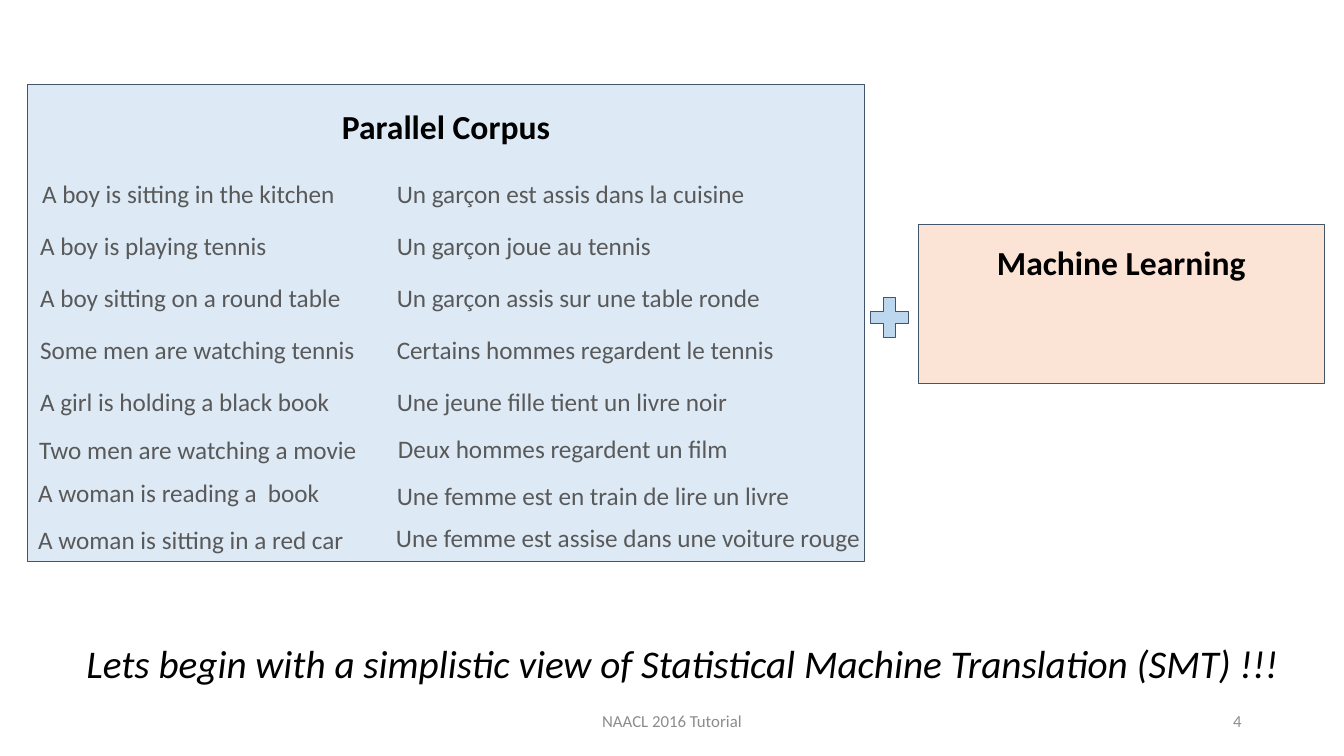
from lxml import etree
from pptx import Presentation
from pptx import util as u
from pptx.dml.color import RGBColor
from pptx.enum import shapes, text
from pptx.oxml import ns

SENTENCES = [
    ("A boy is sitting in the kitchen", "Un garçon est assis dans la cuisine"),
    ("A boy is playing tennis", "Un garçon joue au tennis"),
    ("A boy sitting on a round table", "Un garçon assis sur une table ronde"),
    ("Some men are watching tennis", "Certains hommes regardent le tennis"),
    ("A girl is holding a black book", "Une jeune fille tient un livre noir"),
    ("Two men are watching a movie", "Deux hommes regardent un film"),
    ("A woman is reading a  book", "Une femme est en train de lire un livre"),
    ("A woman is sitting in a red car",
     "Une femme est assise dans une voiture rouge"),
]
ROW_TOP, ROW_STEP = 4.37, 1.31
EVEN_TOPS = [ROW_TOP + ROW_STEP * row for row in range(5)]
ENGLISH_TOPS = EVEN_TOPS + [10.82, 11.91, 13.08]
FRENCH_TOPS = EVEN_TOPS + [10.8, 11.99, 13.03]
ENGLISH_LEFTS = [0.81] + [0.76] * 4 + [0.74, 0.71, 0.71]
FRENCH_LEFTS = [9.75] * 5 + [9.78, 9.75, 9.73]


def color(code):
    return RGBColor.from_string(code)


class CorpusSlide:
    """Slide page with the shared style and a method per kind of element."""

    font = "Calibri"
    ink, sentence_ink, footer_ink = "000000", "595959", "8C8C8C"
    outline = "44546A"

    def __init__(self, page):
        self.page = page

    def set_text(self, shape, words, size, ink, align=text.PP_ALIGN.LEFT,
                 anchor=text.MSO_ANCHOR.TOP, bold=False, italic=False):
        frame = shape.text_frame
        frame.word_wrap = True
        frame.vertical_anchor = anchor
        para = frame.paragraphs[0]
        para.text = words
        para.alignment = align
        font = para.font
        font.name, font.size = self.font, u.Pt(size)
        font.bold, font.italic = bold, italic
        font.color.rgb = color(ink)
        return frame

    def shape(self, kind, left, top, width, height, fill):
        shape = self.page.shapes.add_shape(
            kind, u.Cm(left), u.Cm(top), u.Cm(width), u.Cm(height))
        shape.shadow.inherit = False
        shape.fill.solid()
        shape.fill.fore_color.rgb = color(fill)
        shape.line.color.rgb = color(self.outline)
        shape.line.width = u.Pt(0.75)
        return shape

    def panel(self, title, left, top, width, height, fill, title_gap):
        panel = self.shape(shapes.MSO_SHAPE.RECTANGLE,
                           left, top, width, height, fill)
        properties = panel.element.spPr
        fill_color = properties.find(ns.qn("a:solidFill"))[0]
        etree.SubElement(fill_color, ns.qn("a:alpha"), val="50000")
        frame = self.set_text(panel, title, 24, self.ink,
                              text.PP_ALIGN.CENTER, bold=True)
        frame.margin_top = u.Cm(title_gap)

    def plus(self, left, top, width, height, fill):
        plus = self.shape(shapes.MSO_SHAPE.MATH_PLUS,
                          left, top, width, height, fill)
        plus.adjustments[0] = 0.235

    def label(self, words, left, top, width, height, size, ink, **style):
        box = self.page.shapes.add_textbox(
            u.Cm(left), u.Cm(top), u.Cm(width), u.Cm(height))
        self.set_text(box, words, size, ink, **style)

    def sentences(self, column, lefts, tops, width):
        for words, left, top in zip(column, lefts, tops):
            self.label(words, left, top, width, 1.02, 18, self.sentence_ink)

    def footer(self, words, left, width, align):
        self.label(words, left, 17.65, width, 1.02, 12, self.footer_ink,
                   align=align, anchor=text.MSO_ANCHOR.MIDDLE)


def main():
    deck = Presentation()
    deck.slide_width, deck.slide_height = u.Cm(33.87), u.Cm(19.05)
    slide = CorpusSlide(deck.slides.add_slide(deck.slide_layouts[6]))

    slide.panel("Parallel Corpus", 0.7, 2.13, 21.08, 12.02, "BDD7EE", 0.54)
    slide.panel("Machine Learning", 23.14, 5.67, 10.24, 4, "F8CBAD", 0.43)
    english, french = zip(*SENTENCES)
    slide.sentences(english, ENGLISH_LEFTS, ENGLISH_TOPS, 8.9)
    slide.sentences(french, FRENCH_LEFTS, FRENCH_TOPS, 12.4)
    slide.plus(21.77, 7.32, 1.3, 1.37, "BDD7EE")
    slide.label("Lets begin with a simplistic view of Statistical Machine "
                "Translation (SMT) !!!", 1.93, 15.98, 31.2, 1.45, 28,
                slide.ink, italic=True)
    slide.footer("NAACL 2016 Tutorial", 11.22, 11.43, text.PP_ALIGN.CENTER)
    slide.footer("4", 23.92, 7.62, text.PP_ALIGN.RIGHT)
    deck.save("out.pptx")


if __name__ == "__main__":
    main()
